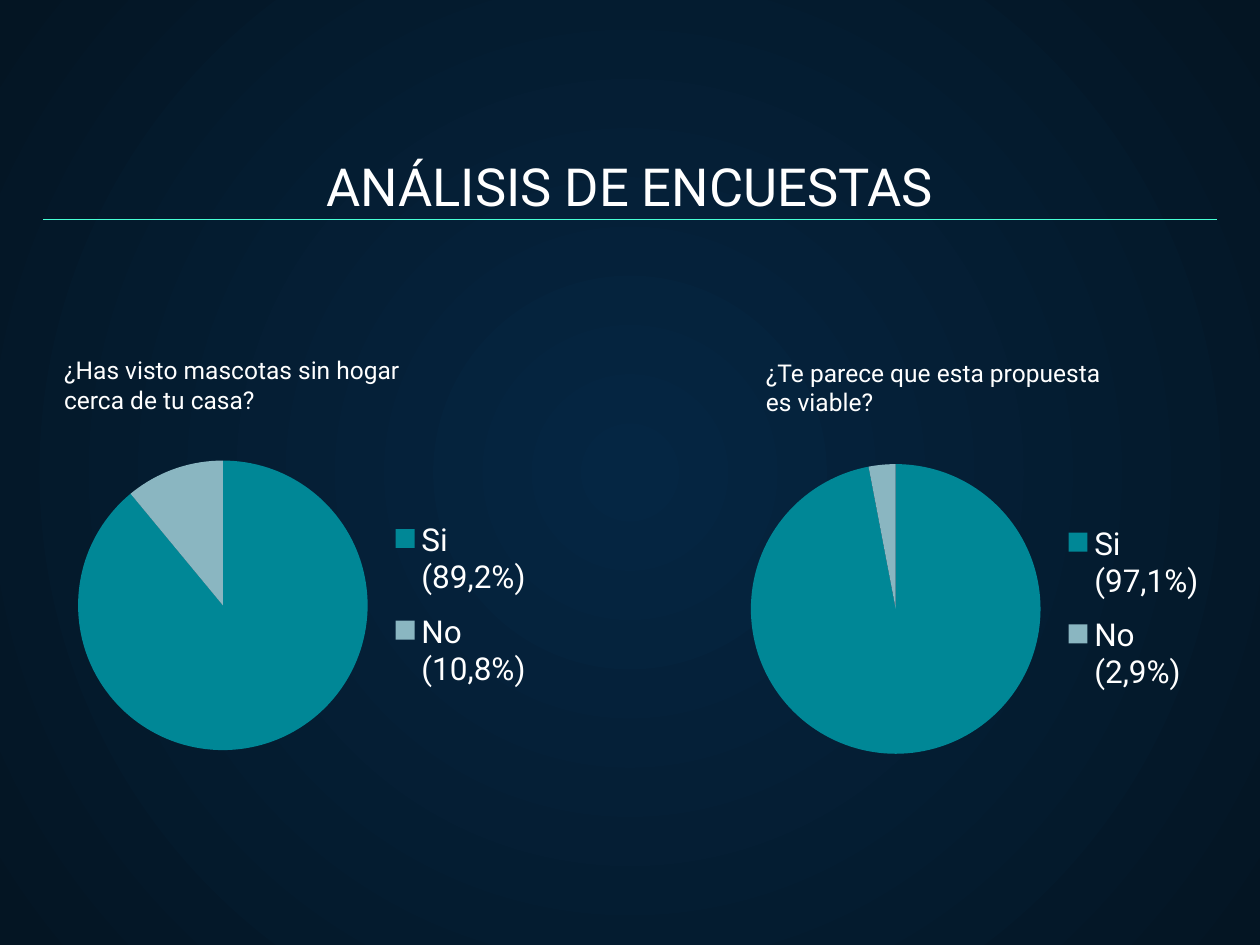
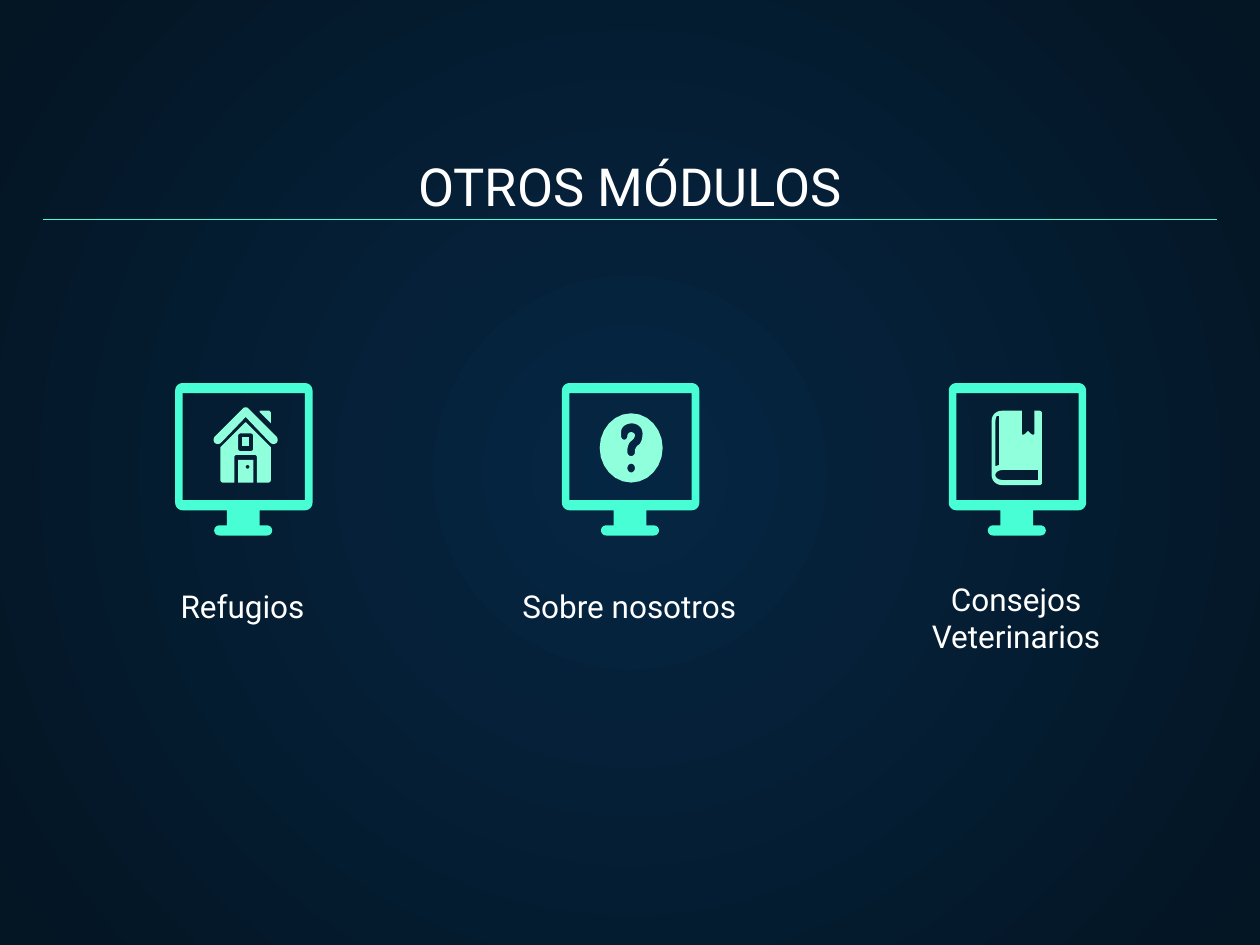
from math import dist

from lxml.etree import SubElement
from pptx import Presentation
from pptx.chart.data import CategoryChartData
from pptx.dml.color import RGBColor
from pptx.enum.chart import XL_CHART_TYPE, XL_LEGEND_POSITION
from pptx.enum.shapes import MSO_CONNECTOR
from pptx.enum.text import MSO_ANCHOR, MSO_AUTO_SIZE, PP_ALIGN
from pptx.oxml import parse_xml
from pptx.oxml.ns import nsdecls, qn
from pptx.util import Inches, Pt

WHITE = RGBColor(0xFF, 0xFF, 0xFF)
NAVY = RGBColor(0x05, 0x26, 0x43)
MIDNIGHT = RGBColor(0x04, 0x15, 0x23)
TURQUOISE = RGBColor(0x48, 0xFF, 0xD5)
MINT = RGBColor(0x8F, 0xFF, 0xDC)
TEAL = RGBColor(0x00, 0x87, 0x96)
MIST = RGBColor(0x8A, 0xB6, 0xC1)
FONT = "Roboto"


def rect(left, top, right, bottom, radius=0):
    return [(left, top, radius), (right, top, radius),
            (right, bottom, radius), (left, bottom, radius)]


MONITOR = [
    [(0, 0, .06), (1.09, 0, .06), (1.09, 1.01, .06), (.67, 1.01), (.67, 1.13),
     (.77, 1.13, .04), (.77, 1.21, .04), (.31, 1.21, .04), (.31, 1.13, .04),
     (.41, 1.13), (.41, 1.01), (0, 1.01, .06)],
    rect(.06, .08, 1.03, .93),
]
CHIMNEY = [[(.37, .03, .01), (.46, .03, .02), (.46, .13), (.37, .04)]]
DOOR = [rect(.2, .42, .32, .6), rect(.26, .46, .29, .49, .02)]
WINDOW = [rect(.23, .24, .29, .31)]
ROOF = [[(.26, -.01, .03), (.53, .26, .04), (.48, .31, .04), (.26, .08),
         (.04, .31, .04), (-.01, .26, .04)]]
WALLS = [
    [(.26, .12), (.46, .32), (.46, .6, .02), (.35, .6), (.35, .38, .02),
     (.17, .38, .02), (.17, .6), (.06, .6, .02), (.06, .32)],
    rect(.2, .21, .32, .35, .02),
]
HOUSE = [CHIMNEY, DOOR, WINDOW, ROOF, WALLS]
QUESTION = [[
    rect(0, 0, .5, .55, 1),
    [(.17, .08, .09), (.34, .08, .09), (.34, .23, .06), (.28, .27, .03),
     (.28, .34, .03), (.22, .34, .03), (.22, .24, .06), (.28, .2, .03),
     (.28, .15, .03), (.22, .15, .03), (.22, .21, .03), (.17, .21, .03)],
    rect(.22, .4, .28, .47, .04),
]]
BOOK = [[
    [(0, 0, .08), (.24, 0), (.24, .19, .01), (.26, .19, .01), (.29, .16),
     (.32, .19, .01), (.34, .19, .01), (.34, 0), (.4, 0, .02), (.4, .59, .02),
     (0, .59, .08)],
    [(.03, .04, .06), (.06, .04), (.06, .43), (.03, .44)],
    [(.03, .47, .06), (.37, .47), (.37, .55), (.03, .55, .06)],
]]


def toward(start, end, share):
    return tuple(a + (b - a) * share for a, b in zip(start, end))


def round_corners(vertices, steps=6):
    points = []
    for i, (x, y, *radius) in enumerate(vertices):
        corner = (x, y)
        if not radius or not radius[0]:
            points.append(corner)
            continue
        neighbours = vertices[i - 1][:2], vertices[(i + 1) % len(vertices)][:2]
        start, end = (toward(corner, n, min(radius[0] / dist(corner, n), .5))
                      for n in neighbours)
        controls = start, toward(start, corner, .55), toward(end, corner, .55), end
        for t in (step / steps for step in range(steps + 1)):
            weights = (1 - t) ** 3, 3 * t * (1 - t) ** 2, 3 * t ** 2 * (1 - t), t ** 3
            points.append(tuple(sum(w * c[axis] for w, c in zip(weights, controls))
                                for axis in (0, 1)))
    return points


def add_outline(shapes, left, top, contours, color):
    builder = None
    for contour in contours:
        points = [(Inches(left + x), Inches(top + y)) for x, y in round_corners(contour)]
        if builder is None:
            builder = shapes.build_freeform(*points[0], scale=1.0)
        else:
            builder.move_to(*points[0])
        builder.add_line_segments(points[1:], close=True)
    outline = builder.convert_to_shape()
    outline.shadow.inherit = False
    outline.fill.solid()
    outline.fill.fore_color.rgb = color
    outline.line.fill.background()


def write(frame, text, size, align=PP_ALIGN.LEFT):
    frame.text = text
    frame.word_wrap = True
    paragraph = frame.paragraphs[0]
    paragraph.alignment = align
    paragraph.font.size = Pt(size)
    paragraph.font.name = FONT
    paragraph.font.color.rgb = WHITE


def anchor_bottom(frame):
    frame.auto_size = MSO_AUTO_SIZE.NONE
    frame.vertical_anchor = MSO_ANCHOR.BOTTOM
    frame.margin_left = frame.margin_right = Inches(.1)
    frame.margin_top = frame.margin_bottom = Inches(.1)


def add_text(slide, box, text, size, align=PP_ALIGN.LEFT):
    frame = slide.shapes.add_textbox(*map(Inches, box)).text_frame
    write(frame, text, size, align)
    return frame


def paint_background(master):
    fill = master.background.fill
    fill.gradient()
    for stop, color in zip(fill.gradient_stops, (NAVY, MIDNIGHT)):
        stop.color.rgb = color
    gradient = master.element.find(".//" + qn("p:bg")).find(".//" + qn("a:gradFill"))
    gradient.replace(gradient.find(qn("a:lin")), parse_xml(
        f'<a:path {nsdecls("a")} path="circle">'
        '<a:fillToRect l="50000" t="50000" r="50000" b="50000"/></a:path>'))


def add_titled_slide(prs, heading):
    slide = prs.slides.add_slide(prs.slide_layouts[5])
    title = slide.shapes.title
    title.left, title.top, title.width, title.height = map(Inches, (.34, .94, 9.32, .88))
    write(title.text_frame, heading, 30, PP_ALIGN.CENTER)
    anchor_bottom(title.text_frame)
    rule = slide.shapes.add_connector(
        MSO_CONNECTOR.STRAIGHT, *map(Inches, (.34, 1.74, 9.66, 1.74)))
    rule.line.color.rgb = TURQUOISE
    rule.line.width = Pt(.75)
    SubElement(rule._element.spPr, qn("a:effectLst"))
    return slide


def manual_layout(left, top, width, height, target=""):
    values = "".join(f'<c:{tag} val="{value:.3f}"/>' for tag, value in
                     zip("xywh", (left, top, width, height)))
    return parse_xml(
        f'<c:layout {nsdecls("c")}><c:manualLayout>{target}'
        f'<c:xMode val="edge"/><c:yMode val="edge"/>{values}'
        '</c:manualLayout></c:layout>')


def add_survey(slide, question_box, chart_box, question, answers):
    add_text(slide, question_box, question, 14)
    data = CategoryChartData()
    data.categories = list(answers)
    data.add_series("Series 1", answers.values())
    chart = slide.shapes.add_chart(
        XL_CHART_TYPE.PIE, *map(Inches, chart_box), data).chart
    chart.has_title = False
    chart.font.size = Pt(18)
    chart.font.name = FONT
    chart.font.color.rgb = WHITE
    chart.plots[0].vary_by_categories = True
    for i, color in enumerate((TEAL, MIST)):
        fill = chart.plots[0].series[0].points[i].format.fill
        fill.solid()
        fill.fore_color.rgb = color

    chart.has_legend = True
    legend = chart.legend
    legend.position = XL_LEGEND_POSITION.RIGHT
    legend.include_in_layout = False
    legend.font.size = Pt(18)
    legend.font.name = FONT
    legend.font.color.rgb = WHITE

    width, height = chart_box[2:]
    diameter, legend_height = 2.3, 1.6
    plot_area = chart._chartSpace.chart.plotArea
    for layout in plot_area.findall(qn("c:layout")):
        plot_area.remove(layout)
    plot_area.insert(0, manual_layout(
        .14 / width, (1 - diameter / height) / 2, diameter / width,
        diameter / height, '<c:layoutTarget val="inner"/>'))
    for layout in legend._element.findall(qn("c:layout")):
        legend._element.remove(layout)
    legend._element.find(qn("c:legendPos")).addnext(manual_layout(
        2.55 / width, (1 - legend_height / height) / 2, 1.25 / width,
        legend_height / height))


def add_module(slide, left, top, icon, icon_offset, caption, caption_box):
    add_outline(slide.shapes, left + .6, top, MONITOR, TURQUOISE)
    icon_left, icon_top = left + icon_offset[0], top + icon_offset[1]
    shapes = slide.shapes.add_group_shape().shapes if len(icon) > 1 else slide.shapes
    for part in icon:
        add_outline(shapes, icon_left, icon_top, part, MINT)
    caption_top, caption_height = caption_box
    frame = add_text(slide, (left, top + caption_top, 2.27, caption_height),
                     caption, 18, PP_ALIGN.CENTER)
    anchor_bottom(frame)


def build_surveys(prs):
    slide = add_titled_slide(prs, "ANÁLISIS DE ENCUESTAS")
    add_survey(slide, (.41, 2.77, 2.99, .57), (.48, 3.35, 3.86, 2.91),
               "¿Has visto mascotas sin hogar cerca de tu casa?",
               {"Si (89,2%)": 89, "No (10,8%)": 11})
    add_survey(slide, (5.98, 2.79, 2.99, .57), (5.82, 3.34, 3.86, 2.99),
               "¿Te parece que esta propuesta es viable?",
               {"Si (97,1%)": 97, "No (2,9%)": 3})


def build_modules(prs):
    slide = add_titled_slide(prs, "OTROS MÓDULOS")
    modules = [
        (HOUSE, (.9, .19), "Refugios", (1.52, .5)),
        (QUESTION, (.9, .24), "Sobre nosotros", (1.52, .5)),
        (BOOK, (.94, .22), "Consejos Veterinarios", (1.46, .8)),
    ]
    for i, module in enumerate(modules):
        add_module(slide, .79 + i * 3.07, 3.04, *module)


def main():
    prs = Presentation()
    prs.slide_width, prs.slide_height = Inches(10), Inches(7.5)
    paint_background(prs.slide_master)
    build_surveys(prs)
    build_modules(prs)
    prs.save("out.pptx")


if __name__ == "__main__":
    main()
